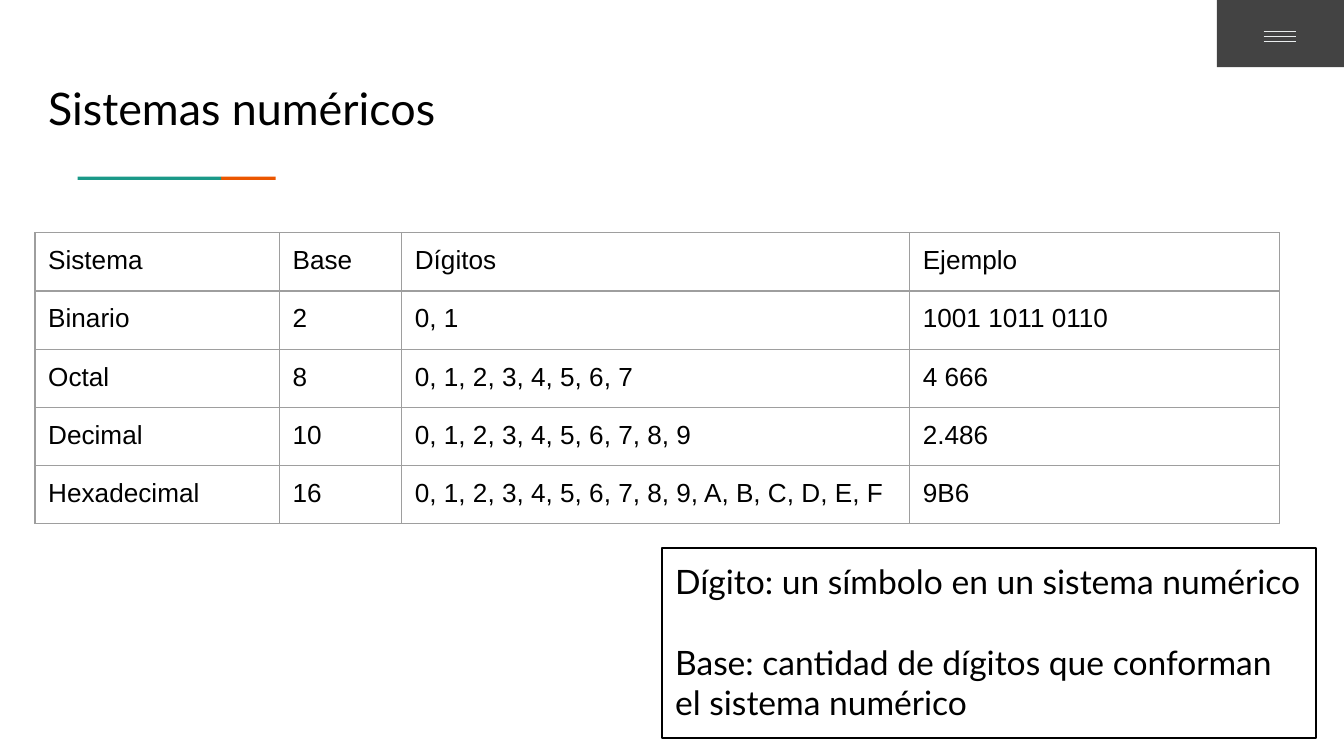
from lxml import etree
from pptx import Presentation
from pptx.dml.color import RGBColor
from pptx.enum.shapes import MSO_CONNECTOR, MSO_SHAPE
from pptx.enum.text import MSO_ANCHOR, MSO_AUTO_SIZE, PP_ALIGN
from pptx.oxml.ns import qn
from pptx.util import Cm, Pt

RECTANGLE = MSO_SHAPE.RECTANGLE
STRAIGHT = MSO_CONNECTOR.STRAIGHT
TOP = MSO_ANCHOR.TOP
LEFT = PP_ALIGN.LEFT
NO_AUTOFIT = MSO_AUTO_SIZE.NONE

COLORS = {
    "text": "000000",
    "teal": "1A9988",
    "orange": "EB5600",
    "menu": "434343",
    "menu_line": "E9EDEE",
    "grid": "9E9E9E",
}
INSET = Cm(0.25)
COLUMN_WIDTHS = [4.62, 2.31, 9.6, 6.99]
ROW_HEIGHT = 1.1
SYSTEMS = [
    ["Sistema", "Base", "Dígitos", "Ejemplo"],
    ["Binario", "2", "0, 1", "1001 1011 0110"],
    ["Octal", "8", "0, 1, 2, 3, 4, 5, 6, 7", "4 666"],
    ["Decimal", "10", "0, 1, 2, 3, 4, 5, 6, 7, 8, 9", "2.486"],
    ["Hexadecimal", "16", "0, 1, 2, 3, 4, 5, 6, 7, 8, 9, A, B, C, D, E, F", "9B6"],
]
DEFINITIONS = [
    "Dígito: un símbolo en un sistema numérico",
    "Base: cantidad de dígitos que conforman el sistema numérico",
]


def color(name):
    return RGBColor.from_string(COLORS[name])


def format_paragraph(paragraph, font_name, size):
    paragraph.alignment = LEFT
    for run in paragraph.runs:
        run.font.name = font_name
        run.font.size = Pt(size)
        run.font.color.rgb = color("text")


def set_insets(holder):
    holder.margin_left = holder.margin_right = INSET
    holder.margin_top = holder.margin_bottom = INSET


def prepare_frame(frame):
    set_insets(frame)
    frame.word_wrap = True
    frame.auto_size = NO_AUTOFIT
    frame.vertical_anchor = TOP


def add_block(slide, left, top, width, height, fill):
    block = slide.shapes.add_shape(RECTANGLE, Cm(left), Cm(top), Cm(width), Cm(height))
    block.shadow.inherit = False
    block.fill.solid()
    block.fill.fore_color.rgb = color(fill)
    block.line.fill.background()


def add_menu_line(slide, y):
    line = slide.shapes.add_connector(STRAIGHT, Cm(23.88), Cm(y), Cm(24.49), Cm(y))
    line.line.color.rgb = color("menu_line")
    line.line.width = Pt(0.75)
    etree.SubElement(line._element.spPr, qn("a:effectLst"))


def set_title(slide, text):
    title = slide.shapes.title
    title.left, title.top, title.width, title.height = Cm(0.66), Cm(1.27), Cm(15.88), Cm(1.55)
    prepare_frame(title.text_frame)
    title.text_frame.text = text
    format_paragraph(title.text_frame.paragraphs[0], "Lato", 24)


def add_definitions(slide, definitions):
    box = slide.shapes.add_textbox(Cm(12.51), Cm(10.36), Cm(12.36), Cm(3.59))
    box.line.color.rgb = color("text")
    box.line.width = Pt(0.75)
    frame = box.text_frame
    prepare_frame(frame)
    frame.text = "\n".join(definitions)
    for index, paragraph in enumerate(frame.paragraphs):
        format_paragraph(paragraph, "Lato", 18)
        if index:
            paragraph.space_before = Pt(21.6)


def set_borders(cell):
    properties = cell._tc.get_or_add_tcPr()
    for position, side in enumerate(["a:lnL", "a:lnR", "a:lnT", "a:lnB"]):
        border = etree.Element(qn(side), w=str(Pt(0.75)))
        fill = etree.SubElement(border, qn("a:solidFill"))
        etree.SubElement(fill, qn("a:srgbClr"), val=COLORS["grid"])
        properties.insert(position, border)


def add_systems_table(slide, rows):
    table = slide.shapes.add_table(
        len(rows), len(COLUMN_WIDTHS), Cm(0.66), Cm(4.4),
        Cm(sum(COLUMN_WIDTHS)), Cm(ROW_HEIGHT * len(rows)),
    ).table
    table.first_row = False
    table.horz_banding = False
    for column, width in zip(table.columns, COLUMN_WIDTHS):
        column.width = Cm(width)
    for row, values in zip(table.rows, rows):
        row.height = Cm(ROW_HEIGHT)
        for cell, value in zip(row.cells, values):
            cell.text = value
            cell.fill.background()
            cell.vertical_anchor = TOP
            set_insets(cell)
            set_borders(cell)
            format_paragraph(cell.text_frame.paragraphs[0], "Arial", 14)


def main():
    presentation = Presentation()
    presentation.slide_width = Cm(25.4)
    presentation.slide_height = Cm(14.29)
    slide = presentation.slides.add_slide(presentation.slide_layouts[5])
    add_block(slide, 4.18, 3.34, 1.03, 0.06, "orange")
    add_block(slide, 1.47, 3.34, 2.71, 0.06, "teal")
    add_block(slide, 23, 0, 2.4, 1.27, "menu")
    for index in range(3):
        add_menu_line(slide, 0.6 + 0.09 * index)
    set_title(slide, "Sistemas numéricos")
    add_definitions(slide, DEFINITIONS)
    add_systems_table(slide, SYSTEMS)
    presentation.save("out.pptx")


if __name__ == "__main__":
    main()
